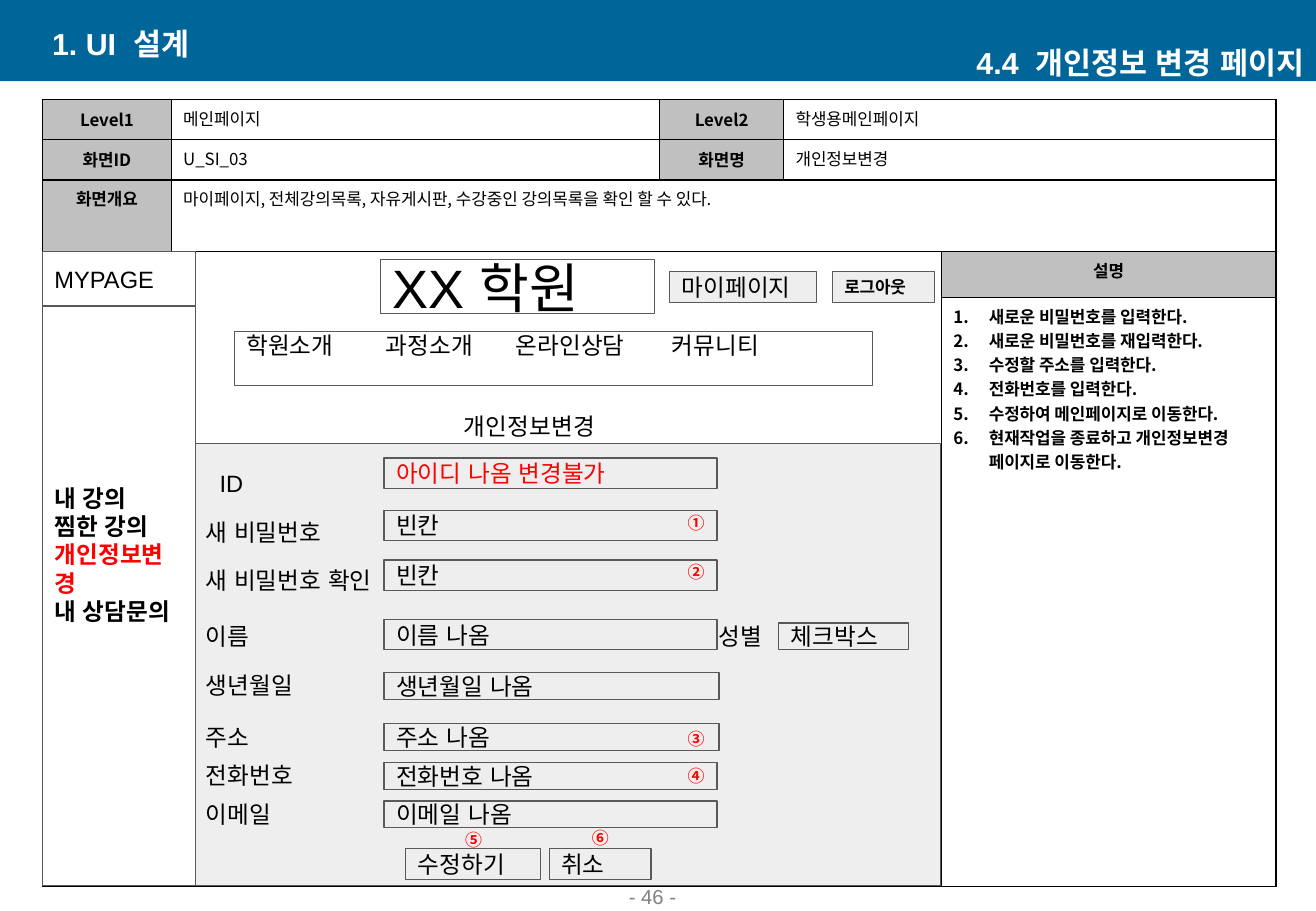
from dataclasses import dataclass, replace

from lxml.etree import SubElement
from pptx import Presentation
from pptx.dml.color import RGBColor
from pptx.enum.shapes import MSO_SHAPE
from pptx.enum.text import MSO_ANCHOR, MSO_AUTO_SIZE, PP_ALIGN
from pptx.oxml.ns import qn
from pptx.util import Cm, Pt

ARIAL, NOTO = "Arial", "Noto Sans CJK KR"
BLACK, WHITE, RED = "000000", "FFFFFF", "FF0000"
GREY, PALE, EDGE = "C0C0C0", "EEEEEE", "595959"
INSET = 0.25


@dataclass(frozen=True)
class Style:
    size: float = 14
    color: str = BLACK
    bold: bool = False
    font: str = ARIAL
    align: PP_ALIGN = PP_ALIGN.LEFT
    anchor: MSO_ANCHOR = MSO_ANCHOR.MIDDLE
    inset_top: float = INSET
    inset_bottom: float = INSET


@dataclass(frozen=True)
class Box:
    text: str
    left: float
    top: float
    width: float
    height: float
    style: Style = Style()
    fill: str = ""


@dataclass(frozen=True)
class FormRow:
    label: str
    label_top: float
    value: str
    field_top: float
    field_height: float
    field_width: float = 6.96
    label_left: float = 4.05
    color: str = BLACK


BODY = Style()
LABEL = Style(anchor=MSO_ANCHOR.TOP)
HEADING = Style(18, WHITE, True, inset_top=0.13, inset_bottom=0.13)
MARK = Style(10, RED, True, NOTO, PP_ALIGN.CENTER, MSO_ANCHOR.TOP, 0.13, 0.13)
CELL = Style(10, font=NOTO, anchor=MSO_ANCHOR.TOP, inset_top=0.13, inset_bottom=0.13)
CELL_HEAD = replace(CELL, bold=True, align=PP_ALIGN.CENTER, anchor=MSO_ANCHOR.MIDDLE)
CELL_HEAD_TOP = replace(CELL_HEAD, anchor=MSO_ANCHOR.TOP)


def rgb(value: str) -> RGBColor:
    return RGBColor.from_string(value)


def add_run(p, text: str, style: Style) -> None:
    r = p.add_run()
    r.text = text
    values = {"name": style.font, "size": Pt(style.size), "bold": style.bold}
    for name, value in values.items():
        setattr(r.font, name, value)
    r.font.color.rgb = rgb(style.color)
    SubElement(r.font._element, qn("a:ea"), typeface=style.font)


def write(tf, lines: list[str], style: Style, red_line: str = "") -> None:
    for i, line in enumerate(lines):
        p = tf.paragraphs[0] if i == 0 else tf.add_paragraph()
        p.alignment = style.align
        add_run(p, line, replace(style, color=RED) if line == red_line else style)


def format_frame(tf, style: Style) -> None:
    values = {
        "word_wrap": True, "auto_size": MSO_AUTO_SIZE.NONE, "vertical_anchor": style.anchor,
        "margin_left": Cm(INSET), "margin_right": Cm(INSET),
        "margin_top": Cm(style.inset_top), "margin_bottom": Cm(style.inset_bottom),
    }
    for name, value in values.items():
        setattr(tf, name, value)


def paint(sp, fill: str, line: str = EDGE) -> None:
    sp.fill.solid()
    sp.fill.fore_color.rgb = rgb(fill)
    if line:
        sp.line.color.rgb = rgb(line)
        sp.line.width = Pt(0.75)
    else:
        sp.line.fill.background()


def draw(s, box: Box, line: str = EDGE):
    place = [Cm(v) for v in (box.left, box.top, box.width, box.height)]
    if box.fill:
        sp = s.shapes.add_shape(MSO_SHAPE.RECTANGLE, *place)
        sp.shadow.inherit = False
        paint(sp, box.fill, line)
    else:
        sp = s.shapes.add_textbox(*place)
    if box.text:
        format_frame(sp.text_frame, box.style)
        write(sp.text_frame, [box.text], box.style)
    return sp


def fill_placeholder(sp, box: Box, red_line: str = "") -> None:
    """Places a template placeholder in front of what is drawn so far."""
    sp.element.getparent().append(sp.element)
    for name in ("left", "top", "width", "height"):
        setattr(sp, name, Cm(getattr(box, name)))
    format_frame(sp.text_frame, box.style)
    write(sp.text_frame, box.text.split("\n"), box.style, red_line)
    for p in sp.text_frame.paragraphs:
        p.space_before = Pt(0)
        pPr = p._p.get_or_add_pPr()
        pPr.set("marL", "0")
        pPr.set("indent", "0")
        SubElement(pPr, qn("a:buNone"))
    if box.fill:
        paint(sp, box.fill)


def format_cell(cell) -> None:
    tcPr = cell._tc.get_or_add_tcPr()
    for side in ("lnL", "lnR", "lnT", "lnB"):
        ln = SubElement(tcPr, qn(f"a:{side}"), w=str(Pt(1)))
        SubElement(SubElement(ln, qn("a:solidFill")), qn("a:srgbClr"), val=BLACK)
    cell.fill.background()


def fill_cell(cell, lines: list[str], style: Style) -> None:
    write(cell.text_frame, lines, style)
    values = {"vertical_anchor": style.anchor, "margin_left": Cm(INSET), "margin_right": Cm(INSET),
              "margin_top": Cm(style.inset_top), "margin_bottom": Cm(style.inset_bottom)}
    for name, value in values.items():
        setattr(cell, name, value)
    if style.align == PP_ALIGN.CENTER:
        cell.fill.solid()
        cell.fill.fore_color.rgb = rgb(GREY)


def draw_spec_table(s) -> None:
    widths, heights = (2.69, 10.21, 2.59, 3.3, 6.99), (0.84, 0.84, 1.5, 0.96, 12.32)
    table = s.shapes.add_table(5, 5, Cm(0.89), Cm(2.08), Cm(sum(widths)), Cm(sum(heights))).table
    table.first_row = table.horz_banding = False
    for column, width in zip(table.columns, widths):
        column.width = Cm(width)
    for row, height in zip(table.rows, heights):
        row.height = Cm(height)
    for cell in table.iter_cells():
        format_cell(cell)
    for first, last in (((0, 3), (0, 4)), ((1, 3), (1, 4)), ((2, 1), (2, 4)), ((3, 0), (4, 3))):
        table.cell(*first).merge(table.cell(*last))
    header = (("Level1", "메인페이지", "Level2", "학생용메인페이지"),
              ("화면ID", "U_SI_03", "화면명", "개인정보변경"))
    for i, texts in enumerate(header):
        for j, text in enumerate(texts):
            fill_cell(table.cell(i, j), [text], CELL if j % 2 else CELL_HEAD)
    fill_cell(table.cell(2, 0), ["화면개요"], CELL_HEAD_TOP)
    fill_cell(table.cell(2, 1), ["마이페이지, 전체강의목록, 자유게시판, 수강중인 강의목록을 확인 할 수 있다."], CELL)
    fill_cell(table.cell(3, 4), ["설명"], CELL_HEAD_TOP)
    steps = table.cell(4, 4)
    fill_cell(steps, ["새로운 비밀번호를 입력한다.", "새로운 비밀번호를 재입력한다.", "수정할 주소를 입력한다.",
                      "전화번호를 입력한다.", "수정하여 메인페이지로 이동한다.",
                      "현재작업을 종료하고 개인정보변경 페이지로 이동한다."], replace(CELL, bold=True))
    for p in steps.text_frame.paragraphs:
        pPr = p._p.get_or_add_pPr()
        pPr.set("marL", str(Cm(0.74)))
        pPr.set("indent", str(-Cm(0.74)))
        SubElement(pPr, qn("a:buFont"), typeface=NOTO)
        SubElement(pPr, qn("a:buAutoNum"), type="arabicPeriod")


def draw_navigation(s) -> None:
    style = replace(BODY, anchor=MSO_ANCHOR.TOP, inset_top=0)
    sp = draw(s, Box("학원소개\t과정소개\t온라인상담\t커뮤니티", 4.9, 6.93, 13.34, 1.14, style, WHITE))
    tabs = SubElement(sp.text_frame.paragraphs[0]._p.get_or_add_pPr(), qn("a:tabLst"))
    for stop in (2.91, 5.63, 8.89):
        SubElement(tabs, qn("a:tab"), pos=str(Cm(stop)), algn="l")


FORM = [
    FormRow("ID", 9.55, "아이디 나옴 변경불가", 9.58, 0.64, label_left=4.34, color=RED),
    FormRow("새 비밀번호", 10.57, "빈칸", 10.67, 0.64),
    FormRow("새 비밀번호 확인", 11.58, "빈칸", 11.71, 0.64),
    FormRow("이름", 12.75, "이름 나옴", 12.95, 0.64),
    FormRow("생년월일", 13.79, "생년월일 나옴", 14.07, 0.56, 7),
    FormRow("주소", 14.86, "주소 나옴", 15.13, 0.56, 7),
    FormRow("전화번호", 15.67, "전화번호 나옴", 15.95, 0.56),
    FormRow("이메일", 16.48, "이메일 나옴", 16.75, 0.56),
]
CONTROLS = [
    Box("성별", 14.78, 12.75, 3.18, 1.12, LABEL),
    Box("체크박스", 16.28, 13.03, 2.72, 0.56, BODY, PALE),
    Box("수정하기", 8.48, 17.75, 2.82, 0.64, BODY, PALE),
    Box("취소", 11.48, 17.75, 2.13, 0.64, BODY, PALE),
    Box("마이페이지", 14, 5.68, 3.07, 0.64, BODY, PALE),
    Box("로그아웃", 17.4, 5.68, 2.13, 0.64, Style(10, bold=True), PALE),
]
MARKS = [("①", 14.12, 10.6), ("②", 14.12, 11.61), ("③", 14.12, 15.11),
         ("④", 14.12, 15.88), ("⑤", 9.47, 17.22), ("⑥", 12.12, 17.17)]


def main() -> None:
    prs = Presentation()
    prs.slide_width, prs.slide_height = Cm(27.51), Cm(19.05)
    s = prs.slides.add_slide(prs.slide_layouts[1])
    title, menu = s.placeholders

    # Header band, page number and specification table
    draw(s, Box("", 0, 0, 27.51, 1.7, fill="006699"), line="")
    page = replace(HEADING, size=12, color="808080", bold=False, align=PP_ALIGN.CENTER, anchor=MSO_ANCHOR.BOTTOM)
    draw(s, Box("- 46 -", 10.77, 18.54, 5.74, 0.58, page))
    draw_spec_table(s)
    fill_placeholder(title, Box("4.4  개인정보 변경 페이지", 16.38, 0.89, 11.13, 0.84,
                                replace(HEADING, align=PP_ALIGN.RIGHT)))
    draw(s, Box("1. UI  설계", 0.84, 0.48, 11.13, 0.84, HEADING))

    # Side menu and page top
    fill_placeholder(menu, Box("내 강의\n찜한 강의\n개인정보변경\n내 상담문의", 0.89, 5.26, 3.2, 13.26,
                               replace(BODY, bold=True, inset_bottom=0.84), WHITE), "개인정보변경")
    draw(s, Box("MYPAGE", 0.89, 5.26, 3.2, 1.14, BODY, WHITE))
    draw(s, Box("XX 학원", 7.95, 5.42, 5.74, 1.14, replace(BODY, size=32), WHITE))
    draw_navigation(s)
    draw(s, Box("개인정보변경", 9.45, 8.36, 3.53, 1.12, LABEL))

    # Form
    draw(s, Box("", 4.09, 9.27, 15.57, 9.25, fill=PALE))
    for row in FORM:
        draw(s, Box(row.label, row.label_left, row.label_top, 4.55, 1.12, LABEL))
        draw(s, Box(row.value, 8.03, row.field_top, row.field_width, row.field_height,
                    replace(BODY, color=row.color), PALE))
    for box in CONTROLS:
        draw(s, box)
    for text, left, top in MARKS:
        draw(s, Box(text, left, top, 0.86, 0.69, MARK))

    prs.save("out.pptx")


if __name__ == "__main__":
    main()
